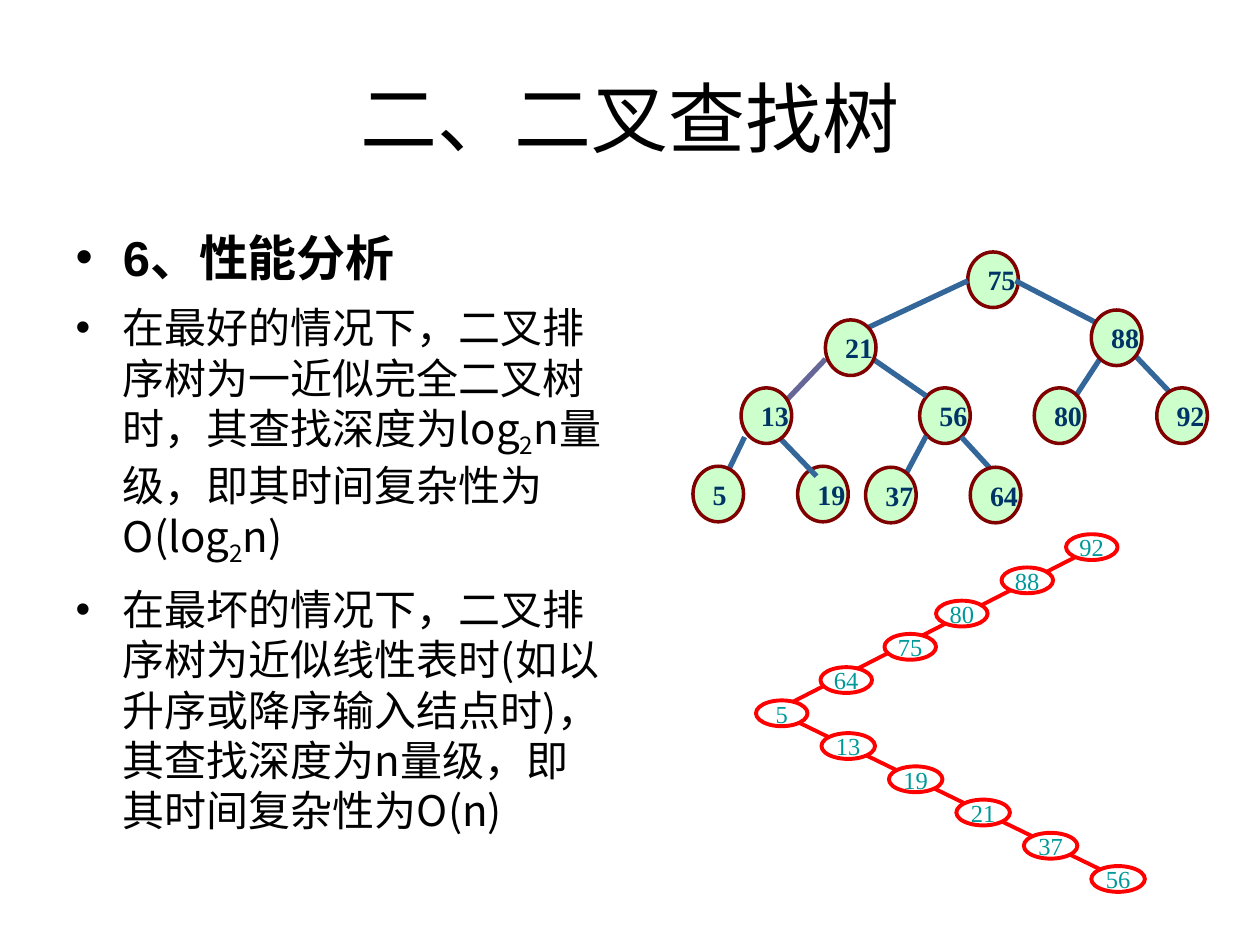
import pptx
import pptx.util
import pptx.dml.color
import pptx.enum.shapes
import pptx.enum.text
import pptx.oxml.ns
import lxml.etree

Cm = pptx.util.Cm
Pt = pptx.util.Pt
Color = pptx.dml.color.RGBColor.from_string
Align = pptx.enum.text.PP_ALIGN
Anchor = pptx.enum.text.MSO_ANCHOR
OVAL = pptx.enum.shapes.MSO_SHAPE.OVAL
STRAIGHT = pptx.enum.shapes.MSO_CONNECTOR.STRAIGHT

theme = {
    "title": {"name": "Arial", "size": Pt(44)},
    "heading": {"name": "Arial", "size": Pt(28), "bold": True},
    "body": {"name": "Noto Sans CJK SC", "size": Pt(24), "bold": False},
    "text": Color("000000"),
    "edge": Color("336699"),
    "edge_accent": Color("666699"),
    "edge_width": Pt(3),
    "tree": {
        "font": {"name": "Times New Roman", "size": Pt(16), "bold": True},
        "text": Color("003366"), "fill": Color("CCFFCC"),
        "line": Color("800000"), "width": Pt(2), "align": Align.LEFT,
    },
    "chain": {
        "font": {"name": "Times New Roman", "size": Pt(14), "bold": False},
        "text": Color("009999"), "fill": Color("FFFFFF"),
        "line": Color("FF0000"), "width": Pt(2.25), "align": Align.CENTER,
    },
}

presentation = pptx.Presentation()
presentation.slide_width = Cm(25.4)
presentation.slide_height = Cm(19.05)
slide = presentation.slides.add_slide(presentation.slide_layouts[1])


def add_node(label, left, top, width, height, style):
    shape = slide.shapes.add_shape(OVAL, Cm(left), Cm(top), Cm(width), Cm(height))
    shape.shadow.inherit = False
    shape.fill.solid()
    shape.fill.fore_color.rgb = style["fill"]
    shape.line.color.rgb = style["line"]
    shape.line.width = style["width"]
    frame = shape.text_frame
    frame.word_wrap = False
    paragraph = frame.paragraphs[0]
    paragraph.alignment = style["align"]
    run = paragraph.add_run()
    run.text = str(label)
    for attribute, value in style["font"].items():
        setattr(run.font, attribute, value)
    run.font.color.rgb = style["text"]


def add_edge(points, color, width):
    connector = slide.shapes.add_connector(STRAIGHT, *[Cm(value) for value in points])
    connector.line.color.rgb = color
    connector.line.width = width
    lxml.etree.SubElement(connector._element.spPr, pptx.oxml.ns.qn("a:effectLst"))


title = slide.shapes.title
body = slide.placeholders[1]
paragraphs = [
    (title, "title", 0, ["二、二叉查找树"]),
    (body, "heading", 7, ["6、性能分析"]),
    (body, "body", 9, [
        "在最好的情况下，二叉排序树为一近似完全二叉树时，其查找深度为log", "2",
        "n量级，即其时间复杂性为O(log", "2", "n)",
    ]),
    (body, "body", 9, [
        "在最坏的情况下，二叉排序树为近似线性表时(如以升序或降序输入结点时)，"
        "其查找深度为n量级，即其时间复杂性为O(n)",
    ]),
]
placements = [
    (title, {"left": Cm(1.27), "top": Cm(0.76), "width": Cm(22.86), "height": Cm(3.18)}, Anchor.MIDDLE),
    (body, {"left": Cm(1.27), "top": Cm(4.45), "width": Cm(11.23), "height": Cm(13.97)}, Anchor.TOP),
]
for placeholder, place, anchor in placements:
    for attribute, value in place.items():
        setattr(placeholder, attribute, value)
    placeholder.text_frame.auto_size = pptx.enum.text.MSO_AUTO_SIZE.NONE
    placeholder.text_frame.vertical_anchor = anchor

for placeholder, style, space, pieces in paragraphs:
    frame = placeholder.text_frame
    paragraph = frame.add_paragraph() if frame.text else frame.paragraphs[0]
    paragraph.space_before = Pt(space)
    for index, piece in enumerate(pieces):
        run = paragraph.add_run()
        run.text = piece
        for attribute, value in theme[style].items():
            setattr(run.font, attribute, value)
        run.font.color.rgb = theme["text"]
        if index % 2:
            run._r.get_or_add_rPr().set("baseline", "-25000")

nodes_below_edges = [(75, 19.51, 5.08), (56, 18.54, 7.82), (19, 16.08, 9.4)]
nodes_above_edges = [
    (64, 19.56, 9.42), (5, 13.97, 9.4), (37, 17.45, 9.42), (21, 16.64, 6.45),
    (80, 20.85, 7.82), (13, 14.94, 7.82), (88, 22, 6.25), (92, 23.32, 7.82),
]
tree_edges = [
    (19.51, 5.66, 17.4, 6.65), (20.47, 5.66, 22.38, 6.65),
    (17.6, 7.24, 18.67, 7.98), (18.67, 8.79, 18.24, 9.6),
    (22.76, 7.04, 23.7, 8.03), (15.01, 8.81, 14.53, 9.8),
    (15.7, 8.81, 16.46, 9.6), (19.38, 8.81, 19.94, 9.42),
    (22.17, 7.24, 21.62, 8.08),
]
for label, left, top in nodes_below_edges:
    add_node(label, left, top, 1.02, 1.12, theme["tree"])
for points in tree_edges:
    add_edge(points, theme["edge"], theme["edge_width"])
add_edge((16.64, 7.24, 15.7, 8.23), theme["edge_accent"], theme["edge_width"])
for label, left, top in nodes_above_edges:
    add_node(label, left, top, 1.02, 1.12, theme["tree"])

chain = theme["chain"]
for points in [(21.74, 11.2, 15.49, 14.4), (16.03, 14.53, 22.23, 17.55)]:
    add_edge(points, chain["line"], chain["width"])
rising_nodes = [(5, 15.24), (64, 16.54), (75, 17.83), (80, 18.87), (88, 20.19), (92, 21.49)]
for index, (label, left) in enumerate(rising_nodes):
    add_node(label, left, 14.12 - 0.67 * index, 1.04, 0.52, chain)
for index, label in enumerate([13, 19, 21, 37, 56]):
    add_node(label, 16.56 + 1.36 * index, 14.78 + 0.67 * index, 1.08, 0.52, chain)

presentation.save("out.pptx")
